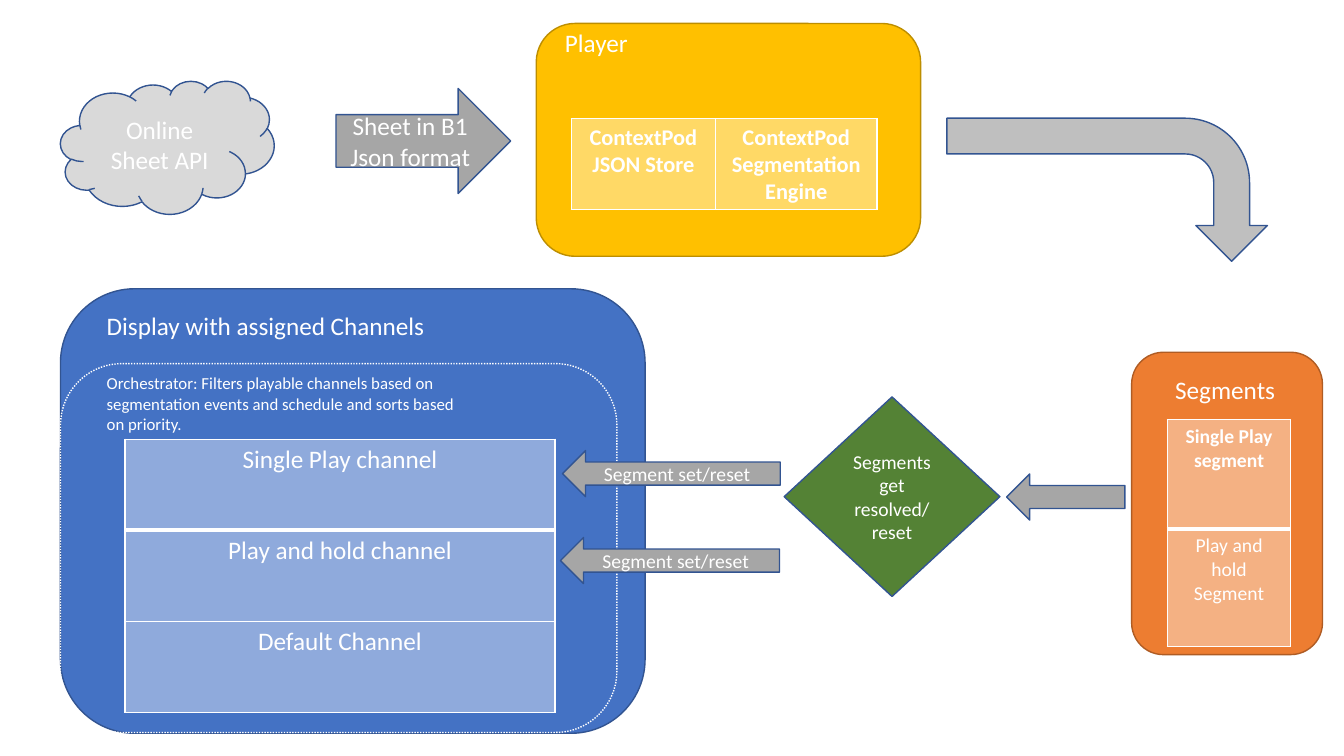
from dataclasses import dataclass

from lxml import etree
from pptx import Presentation
from pptx import util as u
from pptx.dml import color
from pptx.enum import dml, shapes, text
from pptx.oxml import ns

SLIDE_W, SLIDE_H = u.Inches(13.33), u.Inches(7.5)
COLOURS = {
    "white": "FFFFFF", "navy": "325491", "blue": "4472C4", "pale blue": "8FAADC",
    "gold": "FFC000", "dark gold": "BD8E00", "pale gold": "FFD966",
    "orange": "ED7D31", "rust": "AF5C24", "pale orange": "F4B183",
    "green": "548235", "cloud grey": "D9D9D9", "bend grey": "BFBFBF", "arrow grey": "A6A6A6",
}
KIND = shapes.MSO_SHAPE
LABEL_H = 5.3
ARROW_H = 6.1


@dataclass(frozen=True)
class Box:
    """A place on the slide, in percent of its width and height."""
    left: float
    top: float
    width: float
    height: float

    def emu(self) -> tuple[int, ...]:
        return (across(self.left), down(self.top), across(self.width), down(self.height))


@dataclass(frozen=True)
class Block:
    kind: KIND
    box: Box
    fill: str | None
    outline: str = "navy"
    words: str = ""
    size: int = 18
    rotation: int = 0
    adjustments: tuple[float, ...] = ()


@dataclass(frozen=True)
class Label:
    box: Box
    words: str
    size: int = 18


@dataclass(frozen=True)
class Grid:
    left: float
    top: float
    columns: tuple[float, ...]
    rows: tuple[float, ...]
    words: tuple[tuple[str, ...], ...]
    fill: str
    size: int
    bold_header: bool = False


def across(share: float) -> int:
    return round(SLIDE_W * share / 100)


def down(share: float) -> int:
    return round(SLIDE_H * share / 100)


def rgb(name: str) -> color.RGBColor:
    return color.RGBColor.from_string(COLOURS[name])


def write(frame, words: str, size: int, align, bold: bool = False) -> None:
    for index, line in enumerate(words.split("\n")):
        paragraph = frame.paragraphs[0] if index == 0 else frame.add_paragraph()
        paragraph.alignment = align
        run = paragraph.add_run()
        run.text = line
        run.font.name = "Calibri"
        run.font.size = u.Pt(size)
        run.font.bold = bold
        run.font.color.rgb = rgb("white")


def draw_block(slide, block: Block) -> None:
    shape = slide.shapes.add_shape(block.kind, *block.box.emu())
    shape.shadow.inherit = False
    shape.rotation = block.rotation
    for index, value in enumerate(block.adjustments):
        shape.adjustments[index] = value
    if block.fill:
        shape.fill.solid()
        shape.fill.fore_color.rgb = rgb(block.fill)
    else:
        shape.fill.background()
        shape.line.dash_style = dml.MSO_LINE.ROUND_DOT
    shape.line.color.rgb = rgb(block.outline)
    shape.line.width = u.Pt(1)
    if block.words:
        shape.text_frame.vertical_anchor = text.MSO_ANCHOR.MIDDLE
        write(shape.text_frame, block.words, block.size, text.PP_ALIGN.CENTER)


def draw_label(slide, label: Label) -> None:
    frame = slide.shapes.add_textbox(*label.box.emu()).text_frame
    frame.word_wrap = True
    frame.auto_size = text.MSO_AUTO_SIZE.SHAPE_TO_FIT_TEXT
    write(frame, label.words, label.size, text.PP_ALIGN.LEFT)


def add_borders(cell, bottom_width: int) -> None:
    properties = cell._tc.get_or_add_tcPr()
    for side in "LRTB":
        width = u.Pt(bottom_width if side == "B" else 1)
        border = etree.SubElement(properties, ns.qn(f"a:ln{side}"), w=str(width))
        solid = etree.SubElement(border, ns.qn("a:solidFill"))
        etree.SubElement(solid, ns.qn("a:srgbClr"), val=COLOURS["white"])


def draw_grid(slide, grid: Grid) -> None:
    box = Box(grid.left, grid.top, sum(grid.columns), sum(grid.rows))
    table = slide.shapes.add_table(len(grid.rows), len(grid.columns), *box.emu()).table
    table.horz_banding = False
    for column, share in zip(table.columns, grid.columns):
        column.width = across(share)
    for r, (row, share) in enumerate(zip(table.rows, grid.rows)):
        row.height = down(share)
        heads_more = r == 0 and len(grid.rows) > 1
        for cell, words in zip(row.cells, grid.words[r]):
            add_borders(cell, 3 if heads_more else 1)
            cell.fill.solid()
            cell.fill.fore_color.rgb = rgb(grid.fill)
            write(cell.text_frame, words, grid.size, text.PP_ALIGN.CENTER,
                  grid.bold_header and r == 0)


def segment_arrow(left: float, top: float, width: float, words: str = "") -> Block:
    return Block(KIND.LEFT_ARROW, Box(left, top, width, ARROW_H), "arrow grey",
                 words=words, size=14)


PARTS = (
    Block(KIND.CLOUD, Box(4.5, 10.7, 15.9, 17.6), "cloud grey", words="Online Sheet API"),
    Block(KIND.FLOWCHART_ALTERNATE_PROCESS, Box(39.9, 3.1, 28.6, 30.8), "gold", "dark gold"),
    Label(Box(41.3, 2.9, 11, LABEL_H), "Player"),
    Grid(42.5, 15.7, (10.75, 12), (12,),
         (("ContextPod\nJSON Store", "ContextPod\nSegmentation Engine"),),
         "pale gold", 16, bold_header=True),
    Block(KIND.ROUNDED_RECTANGLE, Box(84.2, 46.6, 14.2, 40), "orange", "rust"),
    Label(Box(86.7, 48.9, 9.2, LABEL_H), "Segments"),
    Grid(86.85, 55.5, (9.2,), (14.5, 15.5),
         (("Single Play segment",), ("Play and hold Segment",)),
         "pale orange", 14, bold_header=True),
    Block(KIND.BENT_ARROW, Box(77.05, 3.9, 10.65, 42.4), "bend grey", rotation=90,
          adjustments=(0.25, 0.25, 0.25, 0.45)),
    Block(KIND.FLOWCHART_ALTERNATE_PROCESS, Box(4.5, 38.2, 43.5, 58.8), "blue"),
    Label(Box(7.2, 40.4, 30.2, LABEL_H), "Display with assigned Channels"),
    Block(KIND.RIGHT_ARROW, Box(25, 11.7, 13, 13.9), "arrow grey",
          words="Sheet in B1 Json format"),
    Grid(9.3, 58.1, (32,), (12.05,) * 3,
         (("Single Play channel",), ("Play and hold channel",), ("Default Channel",)),
         "pale blue", 18),
    Block(KIND.FLOWCHART_DECISION, Box(58.35, 52.5, 16.05, 26.4), "green",
          words="Segments get resolved/\nreset", size=14),
    Block(KIND.FLOWCHART_ALTERNATE_PROCESS, Box(4.5, 48.1, 41.4, 48.8), None, "white"),
    segment_arrow(74.9, 62.7, 8.8),
    segment_arrow(41.85, 59.6, 16.2, "Segment set/reset"),
    segment_arrow(41.7, 71.1, 16.3, "Segment set/reset"),
    Label(Box(7.2, 48.7, 27.5, 9.5),
          "Orchestrator: Filters playable channels based on segmentation events "
          "and schedule and sorts based on priority.", 12),
)
DRAW = {Block: draw_block, Label: draw_label, Grid: draw_grid}


def main() -> None:
    deck = Presentation()
    deck.slide_width, deck.slide_height = SLIDE_W, SLIDE_H
    slide = deck.slides.add_slide(deck.slide_layouts[6])
    for part in PARTS:
        DRAW[type(part)](slide, part)
    deck.save("out.pptx")


if __name__ == "__main__":
    main()
